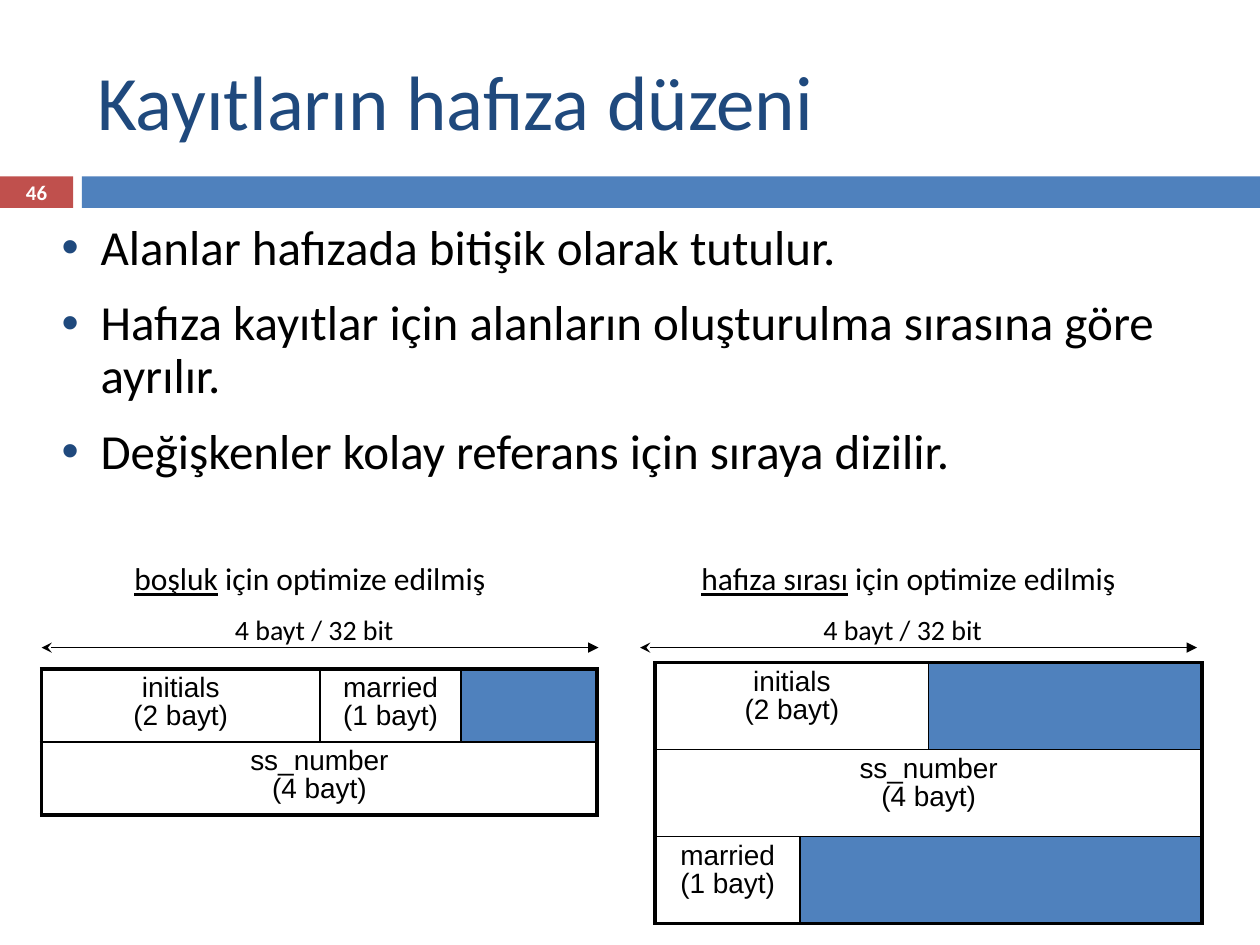
from lxml import etree
from pptx import Presentation
from pptx.dml.color import RGBColor
from pptx.enum import shapes, text
from pptx.oxml import ns
from pptx.util import Inches, Pt

BLUE = RGBColor(0x4F, 0x81, 0xBD)
RED = RGBColor(0xC0, 0x50, 0x4D)
NAVY = RGBColor(0x1F, 0x49, 0x7D)
BLACK = RGBColor(0, 0, 0)
WHITE = RGBColor(0xFF, 0xFF, 0xFF)
OUTER, INNER = Pt(2.25), Pt(1)


def add_text(box, paragraphs, size, color=BLACK, align=text.PP_ALIGN.CENTER):
    """Add a text box; each paragraph is a list of (text, underlined) runs."""
    frame = slide.shapes.add_textbox(*map(Inches, box)).text_frame
    frame.word_wrap = True
    for index, runs in enumerate(paragraphs):
        paragraph = frame.paragraphs[0] if index == 0 else frame.add_paragraph()
        paragraph.alignment = align
        for words, underlined in runs:
            run = paragraph.add_run()
            run.text = words
            if underlined:
                run.font.underline = True
        paragraph.font.size = Pt(size)
        paragraph.font.name = "Calibri"
        paragraph.font.color.rgb = color
    return frame


def set_borders(cell, widths):
    """Draw black borders; widths are left, right, top, bottom."""
    properties = cell._tc.get_or_add_tcPr()
    for side, width in zip("LRTB", widths):
        line = etree.SubElement(properties, ns.qn(f"a:ln{side}"), w=str(width))
        fill = etree.SubElement(line, ns.qn("a:solidFill"))
        etree.SubElement(fill, ns.qn("a:srgbClr"), val=str(BLACK))


presentation = Presentation()
presentation.slide_width = Inches(10)
presentation.slide_height = Inches(7.5)
slide = presentation.slides.add_slide(presentation.slide_layouts[5])

# Title and band
for left, width, color in ((0, 0.58, RED), (0.65, 9.35, BLUE)):
    band = slide.shapes.add_shape(shapes.MSO_SHAPE.RECTANGLE, Inches(left),
                                  Inches(1.4), Inches(width), Inches(0.25))
    band.shadow.inherit = False
    band.fill.solid()
    band.fill.fore_color.rgb = color
    band.line.fill.background()

title = slide.shapes.title
title.left, title.top = Inches(0.67), Inches(0.25)
title.width, title.height = Inches(8.92), Inches(1.08)
title.text_frame.text = "Kayıtların hafıza düzeni"
title.text_frame.vertical_anchor = text.MSO_ANCHOR.MIDDLE
paragraph = title.text_frame.paragraphs[0]
paragraph.alignment = text.PP_ALIGN.LEFT
paragraph.font.size = Pt(44)
paragraph.font.name = "Calibri"
paragraph.font.color.rgb = NAVY

number = add_text((0, 1.39, 0.58, 0.27), [[("46", False)]], 11.9, WHITE)
number.vertical_anchor = text.MSO_ANCHOR.MIDDLE
number.margin_top = number.margin_bottom = 0
number.paragraphs[0].font.bold = True

# Bullets
points = (
    "Alanlar hafızada bitişik olarak tutulur.",
    "Hafıza kayıtlar için alanların oluşturulma sırasına göre ayrılır.",
    "Değişkenler kolay referans için sıraya dizilir.",
)
body = add_text((0.39, 1.72, 9, 2.75), [[(point, False)] for point in points],
                28, align=text.PP_ALIGN.LEFT)
for index, paragraph in enumerate(body.paragraphs):
    paragraph.line_spacing = 0.9
    if index:
        paragraph.space_before = Pt(13)
    properties = paragraph._p.get_or_add_pPr()
    properties.set("marL", str(Inches(0.31)))
    properties.set("indent", str(-Inches(0.31)))
    bullet_color = etree.Element(ns.qn("a:buClr"))
    etree.SubElement(bullet_color, ns.qn("a:srgbClr"), val=str(NAVY))
    bullet_font = etree.Element(ns.qn("a:buFont"), typeface="Arial")
    bullet = etree.Element(ns.qn("a:buChar"), char="•")
    default_run = properties.find(ns.qn("a:defRPr"))
    for element in (bullet_color, bullet_font, bullet):
        default_run.addprevious(element)

# Captions and width arrows
for left, emphasis, arrow_left, label_left in (
        (0.25, "boşluk", 0.33, 1.33), (5, "hafıza sırası", 5.08, 6)):
    add_text((left, 4.39, 4.42, 0.4),
             [[(emphasis, True), (" için optimize edilmiş", False)]], 18)
    add_text((label_left, 4.81, 2.33, 0.37), [[("4 bayt / 32 bit", False)]], 16)
    arrow = slide.shapes.add_connector(
        shapes.MSO_CONNECTOR.STRAIGHT, Inches(arrow_left), Inches(5.14),
        Inches(arrow_left + 4.42), Inches(5.14))
    arrow.line.color.rgb = BLACK
    arrow.line.width = Pt(0.75)
    line = arrow.line._get_or_add_ln()
    etree.SubElement(line, ns.qn("a:headEnd"), type="stealth")
    etree.SubElement(line, ns.qn("a:tailEnd"), type="triangle")
    etree.SubElement(arrow._element.spPr, ns.qn("a:effectLst"))

# Memory layouts: each cell is (paragraphs, columns spanned); None is padding
INITIALS = ("initials", "(2 bayt)")
NUMBER = ("ss_number", "(4 bayt)")
MARRIED = ("married (1 bayt)",)
layouts = (
    (0.33, 5.31, (2.21, 1.12, 1.08), 0.46,
     [[(INITIALS, 1), (MARRIED, 1), (None, 1)], [(NUMBER, 3)]]),
    (5.2, 5.26, (1.15, 1.02, 2.17), 0.69,
     [[(INITIALS, 2), (None, 1)], [(NUMBER, 3)], [(MARRIED, 1), (None, 2)]]),
)
for left, top, widths, row_height, rows in layouts:
    table = slide.shapes.add_table(
        len(rows), len(widths), Inches(left), Inches(top),
        Inches(sum(widths)), Inches(row_height * len(rows))).table
    table.first_row = table.horz_banding = False
    for column, width in zip(table.columns, widths):
        column.width = Inches(width)
    for row_index, row in enumerate(rows):
        start = 0
        for words, span in row:
            cell = table.cell(row_index, start)
            end = start + span
            if span > 1:
                cell.merge(table.cell(row_index, end - 1))
            edges = (start == 0, end == len(widths),
                     row_index == 0, row_index == len(rows) - 1)
            for column_index in range(start, end):
                set_borders(table.cell(row_index, column_index),
                            [OUTER if edge else INNER for edge in edges])
            start = end
            if words is None:
                cell.fill.solid()
                cell.fill.fore_color.rgb = BLUE
                continue
            cell.fill.background()
            cell.text_frame.text = "\n".join(words)
            for paragraph in cell.text_frame.paragraphs:
                paragraph.alignment = text.PP_ALIGN.CENTER
                paragraph.line_spacing = 0.9
                paragraph.font.size = Pt(16)
                paragraph.font.name = "Arial"
                paragraph.font.color.rgb = BLACK

presentation.save("out.pptx")
